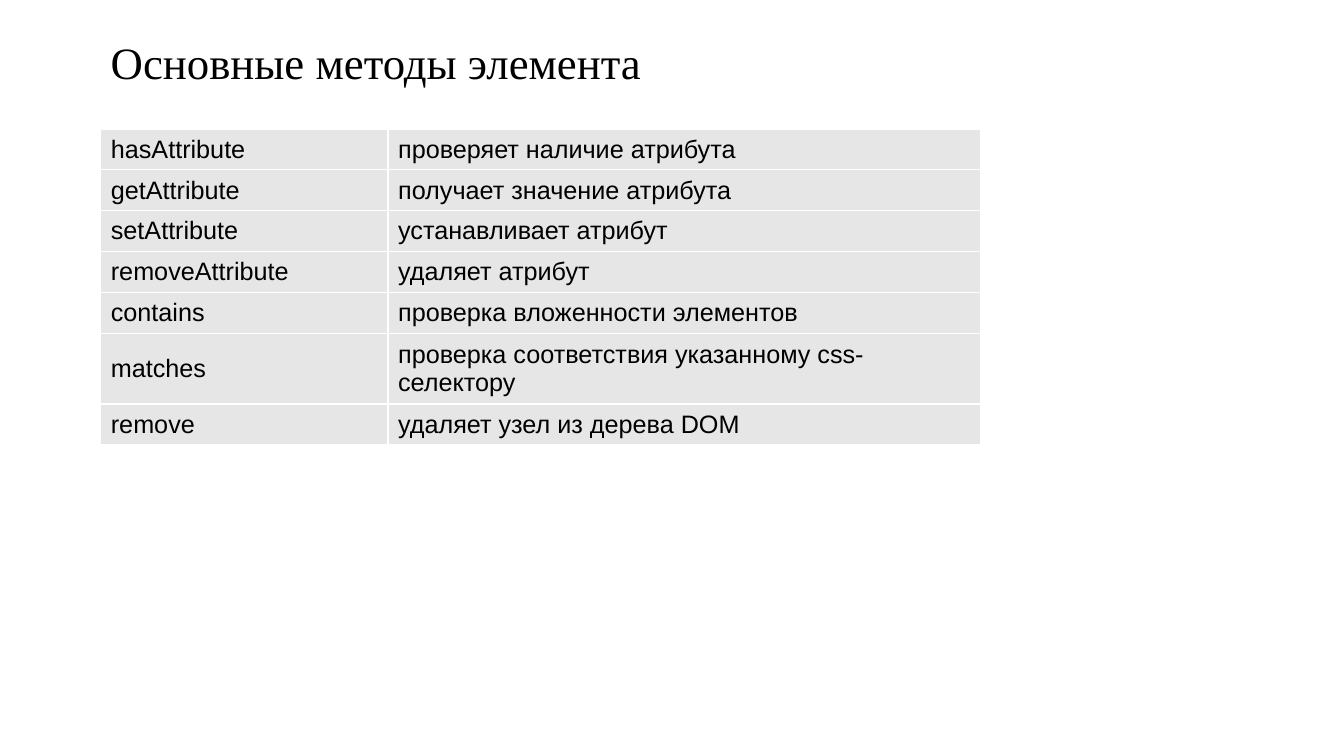
from lxml.etree import SubElement
from pptx import Presentation
from pptx.dml.color import RGBColor
from pptx.enum.text import MSO_ANCHOR
from pptx.oxml.ns import qn
from pptx.util import Pt

COLORS = {"text": "000000", "cell": "E6E6E6", "border": "FFFFFF"}
TITLE_FONT = {"name": "Times New Roman", "size": Pt(32)}
CELL_FONT = {"name": "Arial", "size": Pt(18), "bold": False}
COLUMN_WIDTHS = [205.2, 423.36]
ROW_HEIGHT = 29.2
METHODS = [
    ("hasAttribute", "проверяет наличие атрибута"),
    ("getAttribute", "получает значение атрибута"),
    ("setAttribute", "устанавливает атрибут"),
    ("removeAttribute", "удаляет атрибут"),
    ("contains", "проверка вложенности элементов"),
    ("matches", "проверка соответствия указанному css-селектору"),
    ("remove", "удаляет узел из дерева DOM"),
]


def write(paragraph, text, font_format):
    run = paragraph.add_run()
    run.text = text
    for attribute, value in font_format.items():
        setattr(run.font, attribute, value)
    run.font.color.rgb = RGBColor.from_string(COLORS["text"])


def add_borders(cell):
    properties = cell._tc.get_or_add_tcPr()
    for side in ("lnL", "lnR", "lnT", "lnB"):
        line = SubElement(properties, qn(f"a:{side}"), w=str(Pt(1)))
        fill = SubElement(line, qn("a:solidFill"))
        SubElement(fill, qn("a:srgbClr"), val=COLORS["border"])


prs = Presentation()
prs.slide_width, prs.slide_height = Pt(960), Pt(540)
slide = prs.slides.add_slide(prs.slide_layouts[6])

title = slide.shapes.add_textbox(Pt(72), Pt(0), Pt(816), Pt(92.16)).text_frame
title.word_wrap = True
title.vertical_anchor = MSO_ANCHOR.MIDDLE
title.paragraphs[0].line_spacing = 0.9
write(title.paragraphs[0], "Основные методы элемента", TITLE_FONT)

methods_table = slide.shapes.add_table(
    len(METHODS), len(COLUMN_WIDTHS), Pt(72), Pt(92.16),
    Pt(sum(COLUMN_WIDTHS)), Pt(ROW_HEIGHT * len(METHODS))).table
methods_table.first_row = False
methods_table.horz_banding = False
for column, width in zip(methods_table.columns, COLUMN_WIDTHS):
    column.width = Pt(width)

for row, method in zip(methods_table.rows, METHODS):
    row.height = Pt(ROW_HEIGHT)
    for cell, text in zip(row.cells, method):
        cell.vertical_anchor = MSO_ANCHOR.MIDDLE
        write(cell.text_frame.paragraphs[0], text, CELL_FONT)
        add_borders(cell)
        cell.fill.solid()
        cell.fill.fore_color.rgb = RGBColor.from_string(COLORS["cell"])

prs.save("out.pptx")
